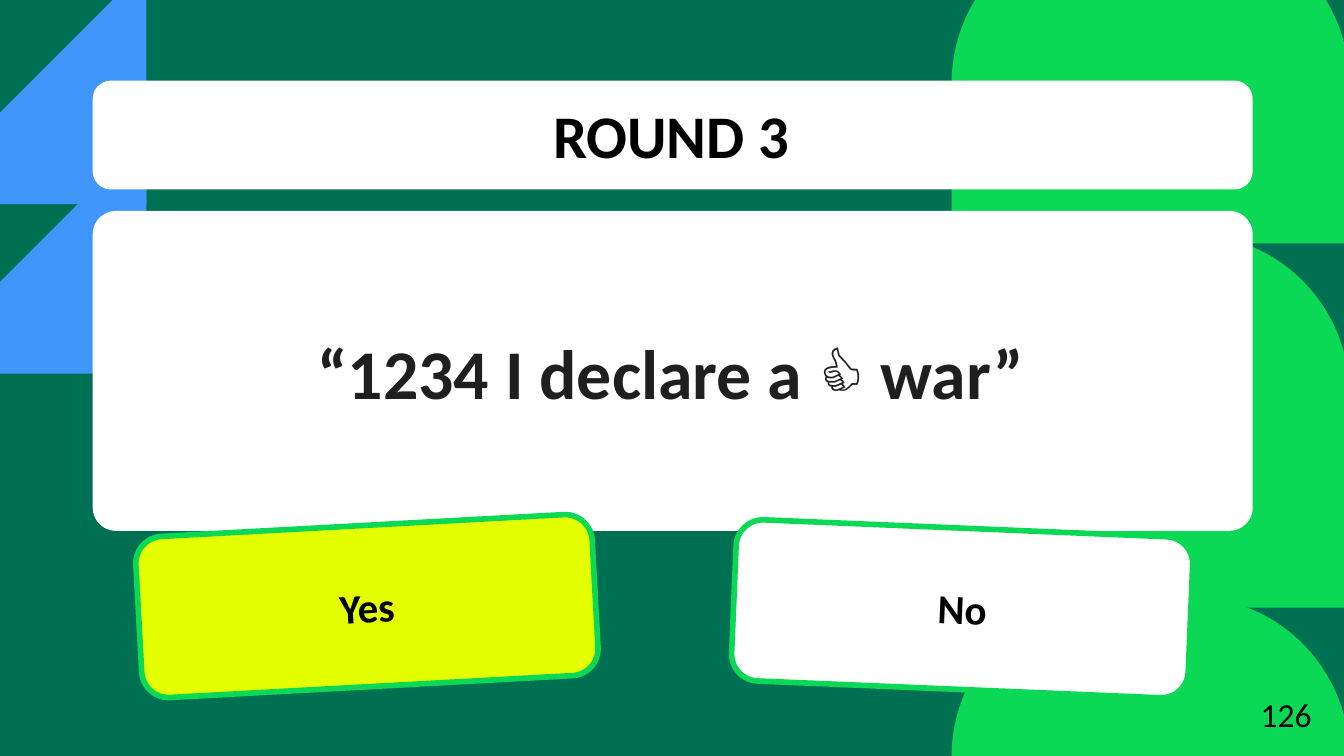
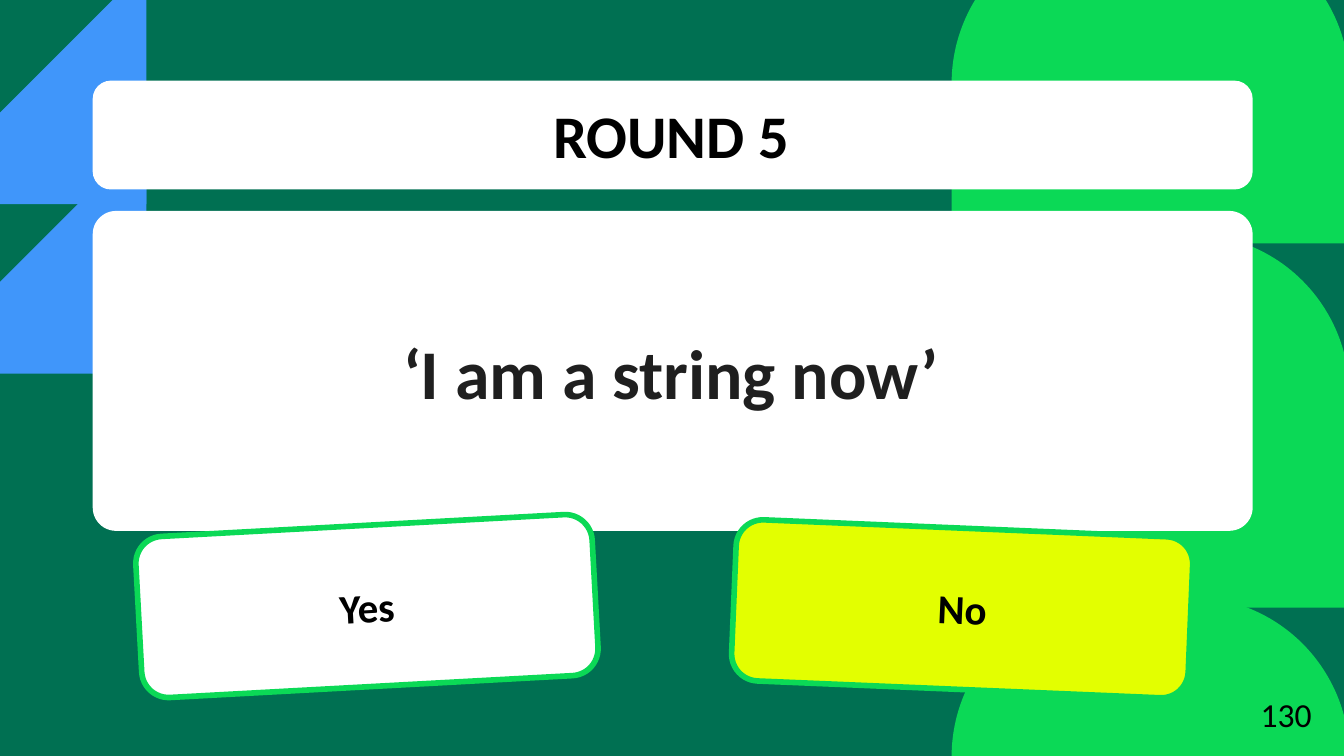
import pptx
import pptx.dml.color
import pptx.enum.shapes
import pptx.enum.text
import pptx.util

Pt = pptx.util.Pt
SHAPE = pptx.enum.shapes.MSO_SHAPE
ANCHOR = pptx.enum.text.MSO_ANCHOR
ALIGN = pptx.enum.text.PP_ALIGN
AUTO = pptx.enum.text.MSO_AUTO_SIZE

WIDTH, HEIGHT = 720, 405
FONT = "Calibri"
COLORS = {
    "back": "007052", "arch": "0BD956", "triangle": "4096FA",
    "panel": "FFFFFF", "chosen": "E3FF00", "text": "000000", "quote": "1F1F1F",
}
ROUNDS = [
    dict(title="ROUND 3", quote="“1234 I declare a 👍 war”", answer="Yes", number="126"),
    dict(title="ROUND 5", quote="‘I am a string now’", answer="No", number="130"),
]
# Label, left, top, rotation, text offset from the card's top
CARDS = [("Yes", 74.2, 281.5, 356.9, 22.9), ("No", 393.1, 283, 2.4, 22.4)]
CARD_W, CARD_H = 244.8, 86.4


def rgb(name):
    return pptx.dml.color.RGBColor.from_string(COLORS[name])


def write(tf, text, size, color="text", bold=True, align=ALIGN.CENTER,
          anchor=ANCHOR.MIDDLE, auto_size=AUTO.NONE, line_spacing=None, space_after=None):
    """Fill a text frame with one formatted paragraph."""
    tf.word_wrap = True
    tf.auto_size = auto_size
    tf.vertical_anchor = anchor
    tf.margin_left = tf.margin_right = tf.margin_top = tf.margin_bottom = Pt(7.2)
    p = tf.paragraphs[0]
    p.alignment = align
    if line_spacing:
        p.line_spacing = line_spacing
    if space_after:
        p.space_after = Pt(space_after)
    r = p.add_run()
    r.text = text
    r.font.name, r.font.size, r.font.bold = FONT, Pt(size), bold
    r.font.color.rgb = rgb(color)


class Deck:
    def __init__(self):
        self.prs = pptx.Presentation()
        self.prs.slide_width, self.prs.slide_height = Pt(WIDTH), Pt(HEIGHT)
        self.s = None

    def add_slide(self):
        self.s = self.prs.slides.add_slide(self.prs.slide_layouts[5])
        fill = self.s.background.fill
        fill.solid()
        fill.fore_color.rgb = rgb("back")

    def shape(self, kind, box, color, adjust=(), rotation=0, line=None):
        sp = self.s.shapes.add_shape(kind, *map(Pt, box))
        sp.shadow.inherit = False
        sp.rotation = rotation
        for i, value in enumerate(adjust):
            sp.adjustments[i] = value
        sp.fill.solid()
        sp.fill.fore_color.rgb = rgb(color)
        if line:
            sp.line.color.rgb = rgb(line)
            sp.line.width = Pt(3)
        else:
            sp.line.fill.background()

    def text(self, box, text, size, rotation=0, **fmt):
        sp = self.s.shapes.add_textbox(*map(Pt, box))
        sp.rotation = rotation
        write(sp.text_frame, text, size, **fmt)

    def title(self, text):
        """Place the title in front of the panels drawn so far."""
        sp = self.s.shapes.title
        self.s.shapes.element.append(sp.element)
        sp.left, sp.top, sp.width, sp.height = map(Pt, (59, 49.7, 601.2, 44.6))
        write(sp.text_frame, text, 32.4)

    def backdrop(self, number):
        for top in (154.1, 125.3, 319.7, -41):
            self.shape(SHAPE.ROUND_2_SAME_RECTANGLE, (509.8, top, 213.1, 171.4),
                       "arch", adjust=(0.5, 0))
        for top in (72.7, -18):
            self.shape(SHAPE.RIGHT_TRIANGLE, (-49, top, 127.4, 127.4),
                       "triangle", rotation=270)
        for top, height, radius in ((43.2, 58.3, 0.167), (113, 171.4, 0.073)):
            self.shape(SHAPE.ROUNDED_RECTANGLE, (49.7, top, 621.4, height),
                       "panel", adjust=(radius,))
        self.text((654.5, 367.2, 55.4, 31), number, 18, bold=False, align=ALIGN.RIGHT)

    def card(self, label, left, top, rotation, offset, chosen):
        self.shape(SHAPE.ROUNDED_RECTANGLE, (left, top, CARD_W, CARD_H),
                   "chosen" if chosen else "panel", adjust=(0.167,),
                   rotation=rotation, line="arch")
        self.text((left, top + offset, CARD_W, 41), label, 22, rotation=rotation,
                  anchor=ANCHOR.TOP, auto_size=AUTO.SHAPE_TO_FIT_TEXT)

    def round(self, title, quote, answer, number):
        self.add_slide()
        self.backdrop(number)
        self.title(title)
        self.text((85, 172.1, 549.4, 58.3), quote, 37.4, color="quote",
                  line_spacing=0.95, space_after=12)
        for label, *place in CARDS:
            self.card(label, *place, chosen=label == answer)


def main():
    deck = Deck()
    for content in ROUNDS:
        deck.round(**content)
    deck.prs.save("out.pptx")


if __name__ == "__main__":
    main()
